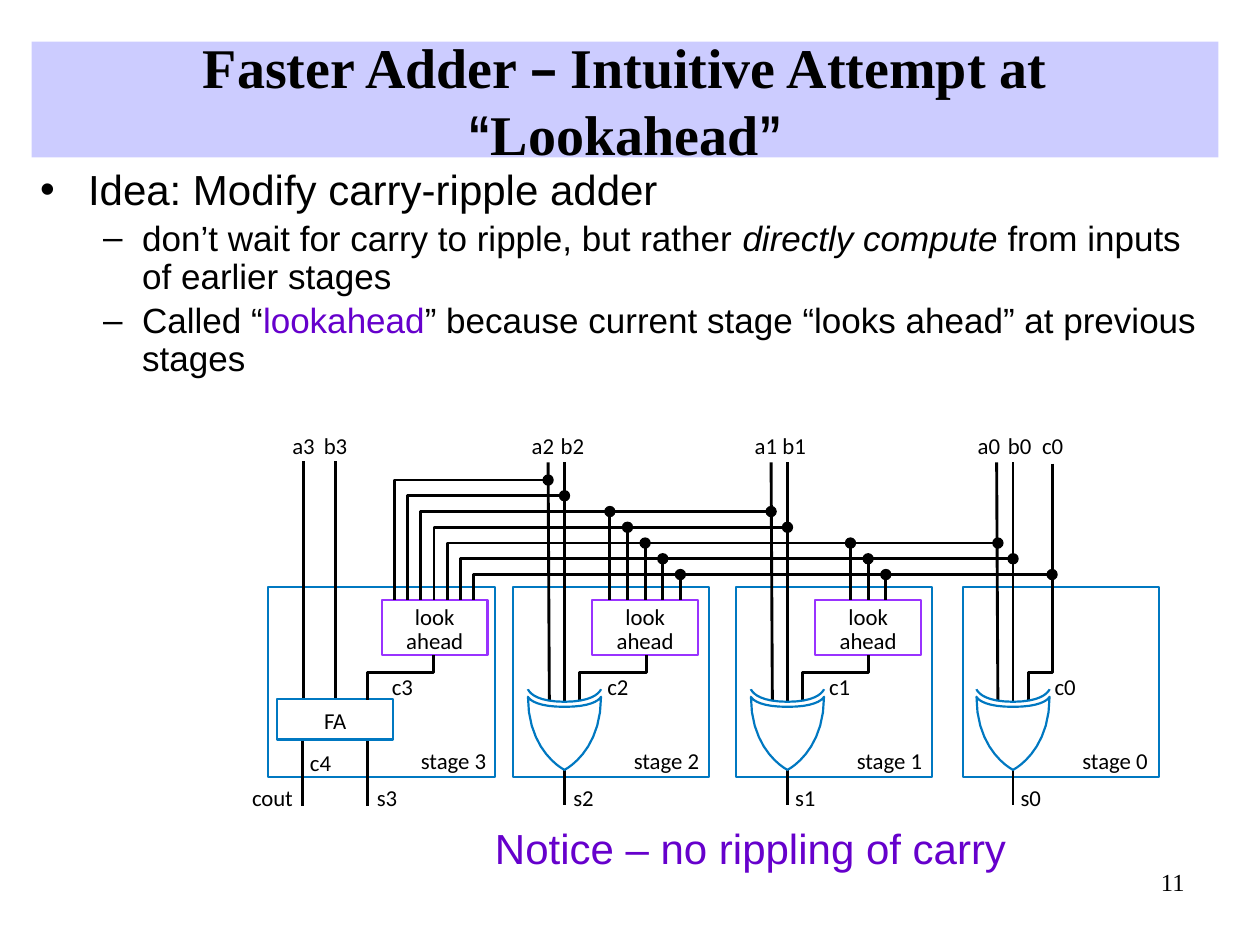
import lxml.etree
import pptx
import pptx.dml.color
import pptx.enum.shapes
import pptx.enum.text
import pptx.oxml.ns
import pptx.util

Inches, Pt = pptx.util.Inches, pptx.util.Pt
Align, Anchor, Fit = pptx.enum.text.PP_ALIGN, pptx.enum.text.MSO_ANCHOR, pptx.enum.text.MSO_AUTO_SIZE
Preset = pptx.enum.shapes.MSO_SHAPE
Color = pptx.dml.color.RGBColor.from_string

theme = {
    "black": Color("000000"), "white": Color("FFFFFF"), "banner": Color("CCCCFF"),
    "stage": Color("0078C1"), "look": Color("9933FF"), "accent": Color("6600CC"),
    "wire": Pt(1.63), "outline": Pt(1.25), "rim": Pt(0.75),
    "title": {"name": "Times New Roman", "size": Pt(32), "bold": True},
    "idea": {"name": "Arial", "size": Pt(24)},
    "point": {"name": "Arial", "size": Pt(20)},
    "label": {"name": "Calibri", "size": Pt(13)},
    "number": {"name": "Times New Roman", "size": Pt(14)},
}
plain = {"word_wrap": True, "auto_size": Fit.NONE}
tight = {"word_wrap": False, "auto_size": Fit.SHAPE_TO_FIT_TEXT,
         "margin_left": 0, "margin_right": 0, "margin_top": 0, "margin_bottom": 0}
boxed = {**tight, "auto_size": Fit.NONE, "vertical_anchor": Anchor.MIDDLE, "margin_top": Inches(0.04)}

deck = pptx.Presentation()
deck.slide_width, deck.slide_height = Inches(10), Inches(7.5)
page = deck.slides.add_slide(deck.slide_layouts[5])


def write(shape, lines, frame_format, font_format, **para_format):
    frame = shape.text_frame
    for name, value in frame_format.items():
        setattr(frame, name, value)
    for index, line in enumerate(lines):
        para = frame.add_paragraph() if index else frame.paragraphs[0]
        for name, value in para_format.items():
            setattr(para, name, value)
        for text, changes in line:
            span = para.add_run()
            span.text = text
            values = {"color": theme["black"], **font_format, **changes}
            span.font.color.rgb = values.pop("color")
            for name, value in values.items():
                setattr(span.font, name, value)


def trace(points, color=theme["black"], width=theme["wire"], fill=None):
    points = [(Inches(x), Inches(y)) for x, y in points]
    if len(points) == 2:
        shape = page.shapes.add_connector(pptx.enum.shapes.MSO_CONNECTOR.STRAIGHT, *points[0], *points[1])
    else:
        builder = page.shapes.build_freeform(*points[0], scale=1.0)
        builder.add_line_segments(points[1:], close=fill is not None)
        shape = builder.convert_to_shape()
        shape.fill.background()
        if fill is not None:
            shape.fill.solid()
            shape.fill.fore_color.rgb = fill
    shape.line.color.rgb, shape.line.width = color, width
    if len(points) == 2:
        lxml.etree.SubElement(shape._element.spPr, pptx.oxml.ns.qn("a:effectLst"))
    else:
        shape.shadow.inherit = False


title = page.shapes.title
title.left, title.top, title.width, title.height = Inches(0.25), Inches(0.33), Inches(9.42), Inches(0.92)
title.fill.solid()
title.fill.fore_color.rgb = theme["banner"]
narrow = {"name": "Arial Narrow"}
write(title, [[("Faster Adder ", {}), ("–", narrow), (" Intuitive Attempt at ", {}),
               ("“", narrow), ("Lookahead", {}), ("”", narrow)]],
      {**plain, "vertical_anchor": Anchor.MIDDLE}, theme["title"], alignment=Align.CENTER)

body = page.shapes.add_textbox(Inches(0.22), Inches(1.29), Inches(9.42), Inches(2.05))
write(body, [
    [("Idea: Modify carry-ripple adder", theme["idea"])],
    [("don’t wait for carry to ripple, but rather ", {}), ("directly compute", {"italic": True}),
     (" from inputs of earlier stages", {})],
    [("Called “", {}), ("lookahead", {"color": theme["accent"]}),
     ("” because current stage “looks ahead” at previous stages", {})],
], plain, theme["point"], line_spacing=0.9, space_before=Pt(4))
bullets = [(0, "•", 0.38, -0.38), (1, "–", 0.81, -0.31), (1, "–", 0.81, -0.31)]
for para, (level, mark, margin, indent) in zip(body.text_frame.paragraphs, bullets):
    para.level = level
    properties = para._p.get_or_add_pPr()
    properties.set("marL", str(Inches(margin)))
    properties.set("indent", str(Inches(indent)))
    for tag, name, value in [("a:buFont", "typeface", theme["point"]["name"]), ("a:buChar", "char", mark)]:
        lxml.etree.SubElement(properties, pptx.oxml.ns.qn(tag)).set(name, value)

gates = [4.48, 6.25, 8.04]
bus_ends = [4.35, 4.48, 6.12, 6.25, 7.92, 8.04, 8.35]
bus = [(3.13 + 0.105 * row, 3.81 + 0.125 * row, end) for row, end in enumerate(bus_ends)]
taps = [(first + 0.14 * index, y)
        for first, skipped in [(4.84, 2), (6.75, 4)]
        for index, (_, y, _) in enumerate(bus[skipped:])]

boxes = [(left, 4.66, width, 1.51, theme["stage"], [])
         for left, width in [(2.13, 1.8), (4.07, 1.56), (5.84, 1.56), (7.64, 1.56)]]
boxes += [(left, 4.76, 0.84, 0.44, theme["look"], ["look", "ahead"]) for left in (3.03, 4.7, 6.47)]
boxes.append((2.2, 5.55, 0.92, 0.32, theme["stage"], ["FA"]))
for left, top, width, height, color, words in boxes:
    box = page.shapes.add_shape(Preset.RECTANGLE, Inches(left), Inches(top), Inches(width), Inches(height))
    box.shadow.inherit = False
    box.fill.background()
    box.line.color.rgb, box.line.width = color, theme["outline"]
    if words:
        write(box, [[(word, {})] for word in words], boxed, theme["label"],
              alignment=Align.CENTER, line_spacing=Pt(13.7))

for start, y, end in bus:
    trace([(start, 4.76), (start, y), (end, y)])
for x, y in taps:
    trace([(x, y), (x, 4.76)])
for x in (2.41, 2.66):
    trace([(x, 3.66), (x, 5.54)])
for x in (2.4, 2.92):
    trace([(x, 5.88), (x, 6.4)])
for source, target in [(3.44, 2.92), (5.13, 4.6), (6.89, 6.37)]:
    trace([(source, 5.2), (source, 5.34), (target, 5.34), (target, 5.56)])
trace([(8.35, 3.68), (8.35, 5.34), (8.16, 5.34), (8.16, 5.56)])

steps = [index / 10 for index in range(11)]
side = [(-0.29 * (3 * t * t * (1 - t) + t ** 3),
         6.11 - 0.14 * 3 * t * t * (1 - t) - 0.58 * t ** 3) for t in steps]
lip = [(-0.29 * (1 - t) ** 2 * (1 + 2 * t) - 0.26 * 3 * t * t * (1 - t),
        3 * t * t * (1 - t) + t ** 3) for t in steps]
lip += [(-x, depth) for x, depth in reversed(lip[:-1])]
shell = side + [(x, 5.53 + 0.08 * depth) for x, depth in lip] + [(-x, y) for x, y in reversed(side)]
for center in gates:
    trace([(center - 0.13, 3.67), (center - 0.12, 5.56)])
    trace([(center, 3.67), (center, 5.57)])
    trace([(center, 6.11), (center, 6.39)])
    trace([(center + x, y) for x, y in shell], theme["stage"], theme["outline"], theme["white"])
    trace([(center + x, 5.47 + 0.1 * depth) for x, depth in lip], theme["stage"], theme["outline"])

for x, y in [(end, y) for _, y, end in bus] + taps:
    dot = page.shapes.add_shape(Preset.OVAL, Inches(x - 0.04), Inches(y - 0.04), Inches(0.08), Inches(0.08))
    dot.shadow.inherit = False
    dot.fill.solid()
    dot.fill.fore_color.rgb = dot.line.color.rgb = theme["black"]
    dot.line.width = theme["rim"]

label_rows = [
    ("a", 3.43, 0.2, (2.32, 4.22, 5.99, 7.76)),
    ("b", 3.43, 0.2, (2.57, 4.45, 6.21, 8)),
    ("c", 5.34, 0.19, (3.11, 4.82, 6.58, 8.37)),
    ("stage ", 5.93, 0.59, (3.34, 5.03, 6.8, 8.59)),
    ("s", 6.22, 0.19, (2.99, 4.55, 6.31, 8.1)),
]
labels = [(f"{prefix}{stage}", left, top, width)
          for prefix, top, width, lefts in label_rows
          for stage, left in zip((3, 2, 1, 0), lefts)]
labels += [("c0", 8.27, 3.43, 0.19), ("c4", 2.46, 5.94, 0.19), ("cout", 2, 6.22, 0.38)]
for text, left, top, width in labels:
    box = page.shapes.add_textbox(Inches(left), Inches(top), Inches(width), Inches(0.22))
    write(box, [[(text, {})]], tight, theme["label"])

notice = page.shapes.add_textbox(Inches(3.83), Inches(6.48), Inches(4.26), Inches(0.5))
write(notice, [[("Notice – no rippling of carry", {"color": theme["accent"]})]],
      {"word_wrap": False, "auto_size": Fit.SHAPE_TO_FIT_TEXT}, theme["idea"])
number = page.shapes.add_textbox(Inches(7.42), Inches(6.83), Inches(2.08), Inches(0.5))
write(number, [[("11", {})]], plain, theme["number"], alignment=Align.RIGHT)

deck.save("out.pptx")
